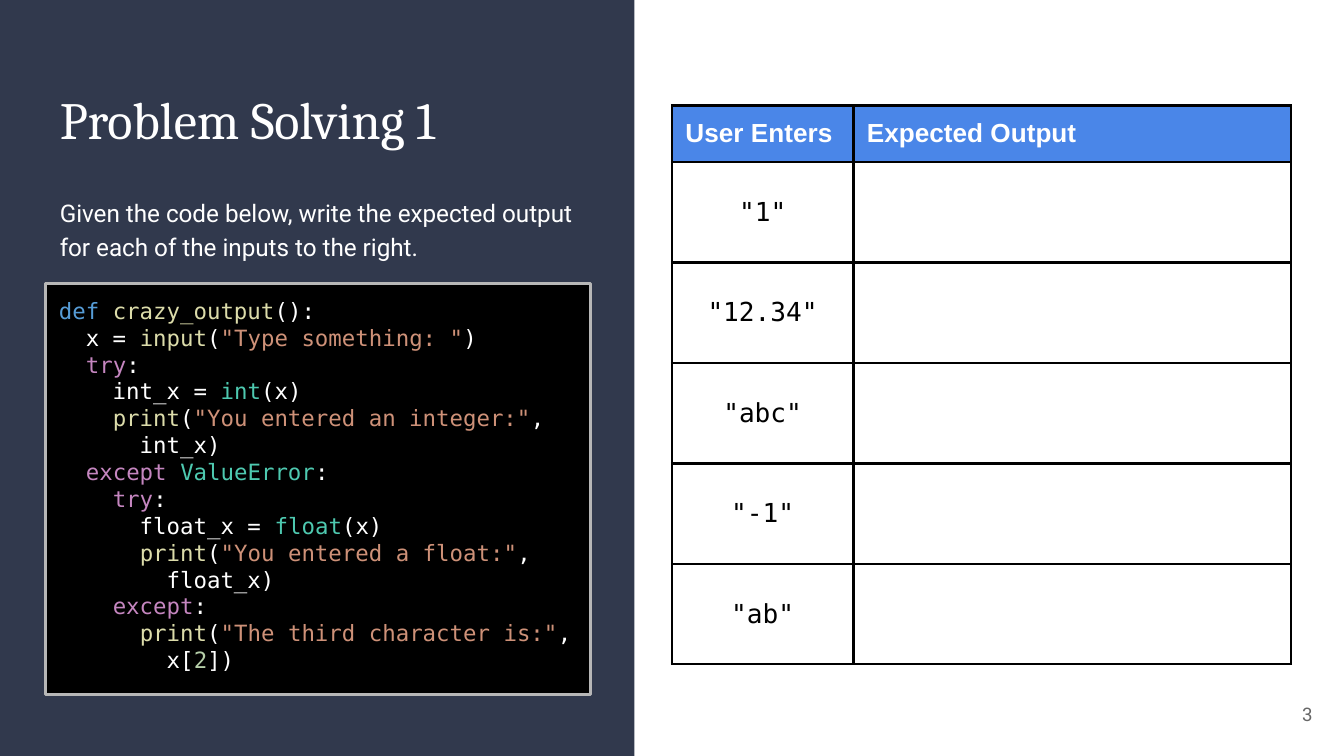
from lxml import etree
from pptx import Presentation
from pptx import util as u
from pptx.dml.color import RGBColor
from pptx.enum import shapes, text
from pptx.oxml.ns import qn

MONO = "DejaVu Sans Mono"
deck = Presentation()
deck.slide_width, deck.slide_height = u.Inches(10), u.Inches(10 * 9 / 16)
page = deck.slides.add_slide(deck.slide_layouts[1])


def percent(left, top, width, height):
    across, down = deck.slide_width / 100, deck.slide_height / 100
    return [int(share) for share in (left * across, top * down, width * across, height * down)]


def style(font, color, size=None, name=None, bold=False):
    font.color.rgb = RGBColor.from_string(color)
    font.bold = bold
    if size:
        font.size, font.name = u.Pt(size), name


panel = page.shapes.add_shape(shapes.MSO_SHAPE.RECTANGLE, *percent(0, 0, 47.2, 100))
panel.shadow.inherit = False
panel.fill.solid()
panel.fill.fore_color.rgb = RGBColor.from_string("31394D")
panel.line.fill.background()
page.shapes.title._element.addprevious(panel._element)

number_area = (92.65, 90.67, 6, 7.64)
number = page.shapes.add_textbox(*percent(*number_area))
middle, top = text.MSO_ANCHOR.MIDDLE, text.MSO_ANCHOR.TOP
left, right = text.PP_ALIGN.LEFT, text.PP_ALIGN.RIGHT
prompt = "Given the code below, write the expected output for each of the inputs to the right."
for box, area, words, anchor, align, spacing, look in [
    (page.shapes.title, (3.45, 9.78, 40.5, 12.44), "Problem Solving 1", top, left, 1, ("FFFFFF", 28, "Cambria")),
    (page.placeholders[1], (3.45, 23.5, 40.5, 13.16), prompt, middle, left, 1.15, ("FFFFFF", 13, "Roboto")),
    (number, number_area, "3", middle, right, 1, ("666666", 10, "Roboto")),
]:
    box.left, box.top, box.width, box.height = percent(*area)
    frame = box.text_frame
    frame.text = words
    frame.word_wrap = True
    frame.auto_size = text.MSO_AUTO_SIZE.NONE
    frame.vertical_anchor = anchor
    frame.margin_left = frame.margin_right = frame.margin_top = frame.margin_bottom = u.Inches(0.1)
    para = frame.paragraphs[0]
    para.alignment, para.line_spacing, para.space_before = align, spacing, u.Pt(0)
    style(para.font, *look)

bullet = page.placeholders[1].text_frame.paragraphs[0]._p.get_or_add_pPr()
bullet.set("marL", "0")
bullet.set("indent", "0")
bullet.insert_element_before(etree.Element(qn("a:buNone")), "a:tabLst", "a:defRPr", "a:extLst")

code = page.shapes.add_shape(shapes.MSO_SHAPE.RECTANGLE, *percent(3.4, 37.51, 40.55, 54.4))
code.shadow.inherit = False
code.fill.solid()
code.fill.fore_color.rgb = RGBColor.from_string("000000")
code.line.color.rgb = RGBColor.from_string("B7B7B7")
code.line.width = u.Pt(1.5)
frame = code.text_frame
frame.word_wrap = True
frame.vertical_anchor = top
frame.margin_left = frame.margin_right = frame.margin_top = frame.margin_bottom = u.Inches(0.1)

syntax = {
    "def ": "569CD6", "crazy_output": "DCDCAA", "input": "DCDCAA", "print": "DCDCAA",
    "try": "C586C0", "except": "C586C0", "except ": "C586C0",
    "int": "4EC9B0", "float": "4EC9B0", "ValueError": "4EC9B0", "2": "B5CEA8",
}
listing = """def |crazy_output|():
  x = |input|(|"Type something: "|)
  |try|:
    int_x = |int|(x)
    |print|(|"You entered an integer:"|,
      int_x)
  |except |ValueError|:
    |try|:
      float_x = |float|(x)
      |print|(|"You entered a float:"|,
        float_x)
    |except|:
      |print|(|"The third character is:"|,
        x[|2|])"""
for index, line in enumerate(listing.split("\n")):
    para = frame.add_paragraph() if index else frame.paragraphs[0]
    para.alignment, para.line_spacing = left, 1
    style(para.font, "FFFFFF", 12, MONO)
    for token in line.split("|"):
        span = para.add_run()
        span.text = token
        style(span.font, "CE9178" if token.startswith('"') else syntax.get(token, "FFFFFF"), 12, MONO)

rows = [("User Enters", "Expected Output")]
rows += [(entry, "") for entry in ('"1"', '"12.34"', '"abc"', '"-1"', '"ab"')]
area = percent(50, 13.96, 46.05, 73.85)
table = page.shapes.add_table(len(rows), 2, *area).table
table.first_row = table.horz_banding = False
for column, share in zip(table.columns, (13.5, 32.55)):
    column.width = int(deck.slide_width * share / 100)
for index, row in enumerate(rows):
    table.rows[index].height = int(area[3] * (0.18 if index else 0.1))
    for cell, words in zip(table.rows[index].cells, row):
        cell.margin_left = cell.margin_right = cell.margin_top = cell.margin_bottom = u.Inches(0.1)
        cell.text = words
        para = cell.text_frame.paragraphs[0]
        if index:
            cell.vertical_anchor = middle
            para.alignment = text.PP_ALIGN.CENTER
            style(para.font, "000000", 14, MONO)
            cell.fill.background()
        else:
            style(para.font, "FFFFFF", 14, "Arial", True)
            cell.fill.solid()
            cell.fill.fore_color.rgb = RGBColor.from_string("4A86E8")
        properties = cell._tc.get_or_add_tcPr()
        for position, side in enumerate(("a:lnL", "a:lnR", "a:lnT", "a:lnB")):
            border = etree.Element(qn(side), w=str(u.Pt(1.5)))
            paint = etree.SubElement(border, qn("a:solidFill"))
            etree.SubElement(paint, qn("a:srgbClr"), val="000000")
            properties.insert(position, border)

deck.save("out.pptx")
